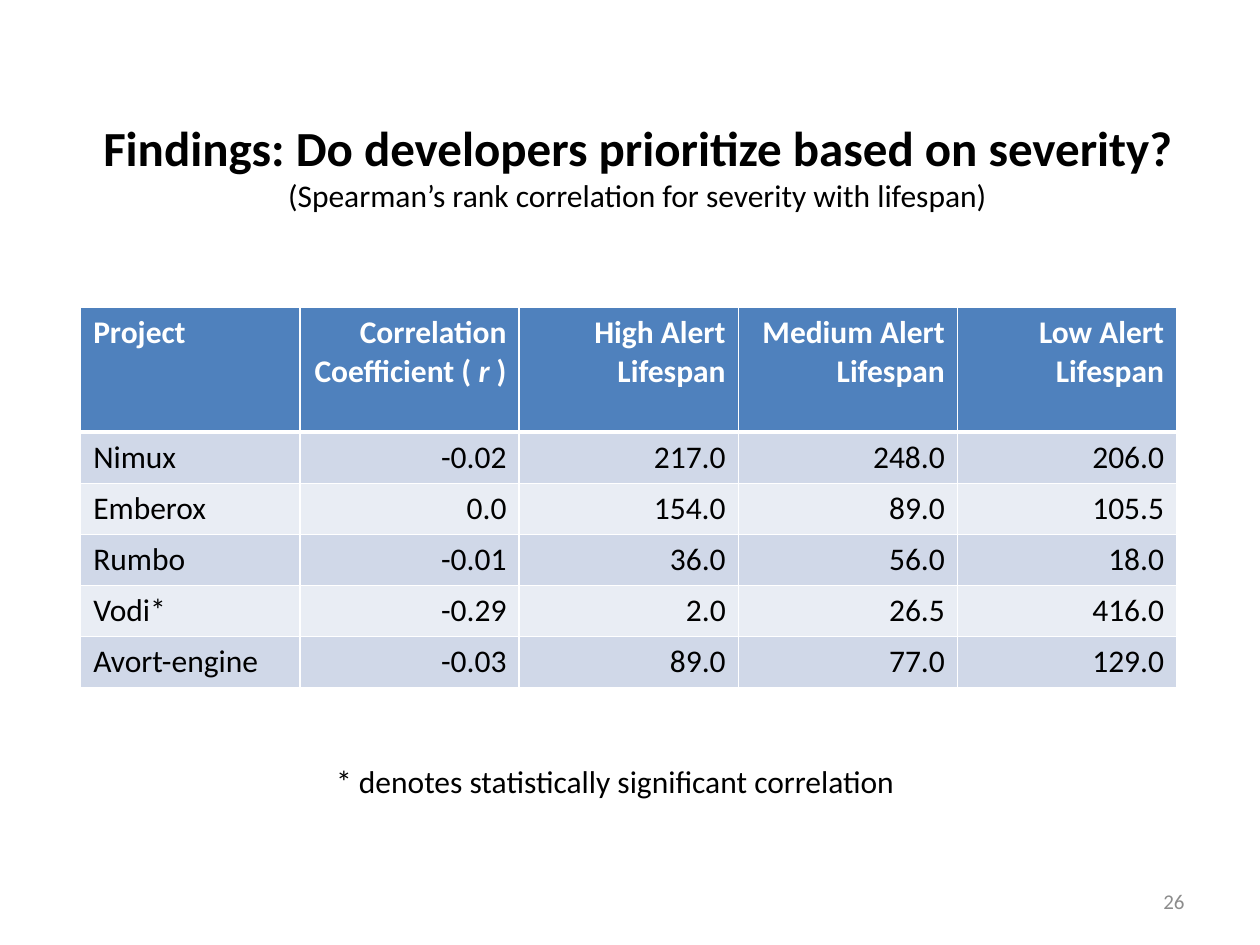
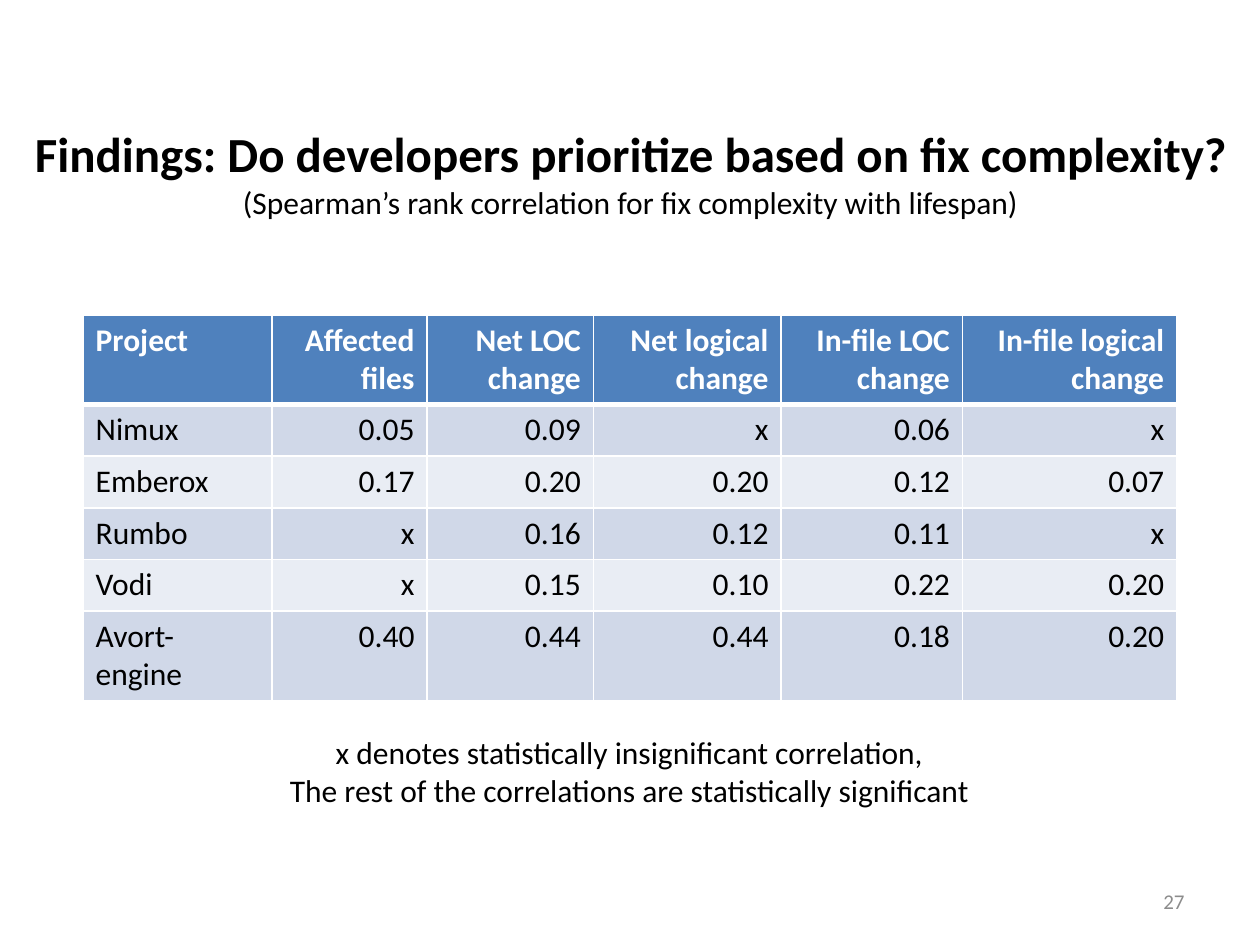
from lxml.etree import SubElement
from pptx import Presentation
from pptx.dml.color import RGBColor
from pptx.enum.text import MSO_ANCHOR as Anchor, MSO_AUTO_SIZE as AutoSize, PP_ALIGN as Align
from pptx.oxml.ns import qn
from pptx.util import Inches, Pt

COLORS = {"ink": "000000", "paper": "FFFFFF", "header": "4F81BD",
          "bands": ("D0D8E8", "E9EDF4"), "number": "8C8C8C"}
HEADING = {"size": Pt(28), "bold": True}
BODY = {"size": Pt(18), "bold": False}
HEADER = {"size": Pt(18), "bold": True}
PAGE_NUMBER = {"size": Pt(12), "bold": False}

FINDINGS = [
    {
        "question": "Findings: Do developers prioritize based on severity?",
        "method": "(Spearman’s rank correlation for severity with lifespan)",
        "title_box": (0, 0.73, 10.12, 1.17),
        "table_at": (0.64, 2.44),
        "columns": [1.74] * 5,
        "row_heights": (0.99, 0.4),
        "results": [
            ["Project", ["Correlation Coefficient ( ", "r ", ")"],
             "High Alert Lifespan", "Medium Alert Lifespan", "Low Alert Lifespan"],
            ["Nimux", "-0.02", "217.0", "248.0", "206.0"],
            ["Emberox", "0.0", "154.0", "89.0", "105.5"],
            ["Rumbo", "-0.01", "36.0", "56.0", "18.0"],
            ["Vodi*", "-0.29", "2.0", "26.5", "416.0"],
            ["Avort-engine", "-0.03", "89.0", "77.0", "129.0"],
        ],
        "note": ["* denotes statistically significant correlation"],
        "note_box": (2.57, 6, 4.97, 0.4),
        "note_align": Align.LEFT,
        "page": "26",
    },
    {
        "question": "Findings: Do developers prioritize based on fix complexity?",
        "method": "(Spearman’s rank correlation for fix complexity with lifespan)",
        "title_box": (0.02, 0.78, 9.97, 1.17),
        "table_at": (0.66, 2.5),
        "columns": [1.5, 1.23, 1.32, 1.49, 1.44, 1.7],
        "row_heights": (0.69, 0.41),
        "results": [
            ["Project", "Affected files", "Net LOC change", "Net logical change",
             "In-file LOC change", "In-file logical change"],
            ["Nimux", "0.05", "0.09", "x", "0.06", "x"],
            ["Emberox", "0.17", "0.20", "0.20", "0.12", "0.07"],
            ["Rumbo", "x", "0.16", "0.12", "0.11", "x"],
            ["Vodi", "x", "0.15", "0.10", "0.22", "0.20"],
            ["Avort-engine", "0.40", "0.44", "0.44", "0.18", "0.20"],
        ],
        "note": ["x denotes statistically insignificant correlation,",
                 "The rest of the correlations are statistically significant"],
        "note_box": (2.1, 5.77, 5.79, 0.71),
        "note_align": Align.CENTER,
        "page": "27",
    },
]


def rgb(value):
    """Turn a hex string into a colour."""
    return RGBColor.from_string(value)


class Deck:
    """Holds the deck's style and the slide being built."""

    def __init__(self, font="Calibri"):
        """Start an empty deck."""
        self.font = font
        self.prs = Presentation()
        self.prs.slide_width, self.prs.slide_height = Inches(10), Inches(7.5)
        self.slide = None

    def new_slide(self):
        """Add a title-only slide and make it current."""
        self.slide = self.prs.slides.add_slide(self.prs.slide_layouts[5])

    def run(self, paragraph, text, color, formats):
        """Add one formatted run to a paragraph."""
        run = paragraph.add_run()
        run.text = text
        run.font.color.rgb = rgb(color)
        for attribute, value in {"name": self.font, **formats}.items():
            setattr(run.font, attribute, value)

    def title(self, question, method, box):
        """Place the title with its method line."""
        heading = self.slide.shapes.title
        for side, value in zip(("left", "top", "width", "height"), box):
            setattr(heading, side, Inches(value))
        frame = heading.text_frame
        frame.vertical_anchor = Anchor.MIDDLE
        paragraph = frame.paragraphs[0]
        paragraph.alignment = Align.CENTER
        self.run(paragraph, question, COLORS["ink"], HEADING)
        paragraph.add_line_break()
        self.run(paragraph, method, COLORS["ink"], BODY)

    def text(self, lines, box, align, color=COLORS["ink"], formats=BODY, **frame_formats):
        """Add a text box with one paragraph per line."""
        frame = self.slide.shapes.add_textbox(*map(Inches, box)).text_frame
        for attribute, value in {"word_wrap": True, **frame_formats}.items():
            setattr(frame, attribute, value)
        for index, line in enumerate(lines):
            paragraph = frame.add_paragraph() if index else frame.paragraphs[0]
            paragraph.alignment = align
            self.run(paragraph, line, color, formats)

    def borders(self, cell, widths):
        """Draw the cell borders, given in points by side."""
        properties = cell._tc.get_or_add_tcPr()
        for side, width in widths.items():
            border = SubElement(properties, qn(f"a:ln{side}"), w=str(Pt(width)))
            fill = SubElement(border, qn("a:solidFill"))
            SubElement(fill, qn("a:srgbClr"), val=COLORS["paper"])

    def cell(self, cell, content, row, column):
        """Fill and format one table cell."""
        is_header = row == 0
        self.borders(cell, {"L": 1, "R": 1, "T": 3 if row == 1 else 1,
                            "B": 3 if is_header else 1})
        cell.fill.solid()
        cell.fill.fore_color.rgb = rgb(COLORS["header"] if is_header
                                       else COLORS["bands"][(row - 1) % 2])
        paragraph = cell.text_frame.paragraphs[0]
        paragraph.alignment = Align.RIGHT if column else Align.LEFT
        parts = [content] if isinstance(content, str) else content
        for index, part in enumerate(parts):
            self.run(paragraph, part, COLORS["paper" if is_header else "ink"],
                     {**(HEADER if is_header else BODY), "italic": index == 1})

    def table(self, results, at, columns, row_heights):
        """Add the results table."""
        header_height, body_height = row_heights
        heights = [header_height] + [body_height] * (len(results) - 1)
        size = sum(columns), sum(heights)
        grid = self.slide.shapes.add_table(
            len(results), len(columns), *map(Inches, (*at, *size))).table
        for column, width in zip(grid.columns, columns):
            column.width = Inches(width)
        for row, height in zip(grid.rows, heights):
            row.height = Inches(height)
        for row, record in enumerate(results):
            for column, content in enumerate(record):
                self.cell(grid.cell(row, column), content, row, column)

    def page_number(self, page):
        """Add the page number at the bottom right."""
        self.text([page], (7.17, 6.95, 2.33, 0.4), Align.RIGHT, COLORS["number"],
                  PAGE_NUMBER, vertical_anchor=Anchor.MIDDLE)


def main():
    """Build the findings slides and save them."""
    deck = Deck()
    for finding in FINDINGS:
        deck.new_slide()
        deck.title(finding["question"], finding["method"], finding["title_box"])
        deck.table(finding["results"], finding["table_at"],
                   finding["columns"], finding["row_heights"])
        deck.page_number(finding["page"])
        deck.text(finding["note"], finding["note_box"], finding["note_align"],
                  auto_size=AutoSize.SHAPE_TO_FIT_TEXT)
    deck.prs.save("out.pptx")


if __name__ == "__main__":
    main()
